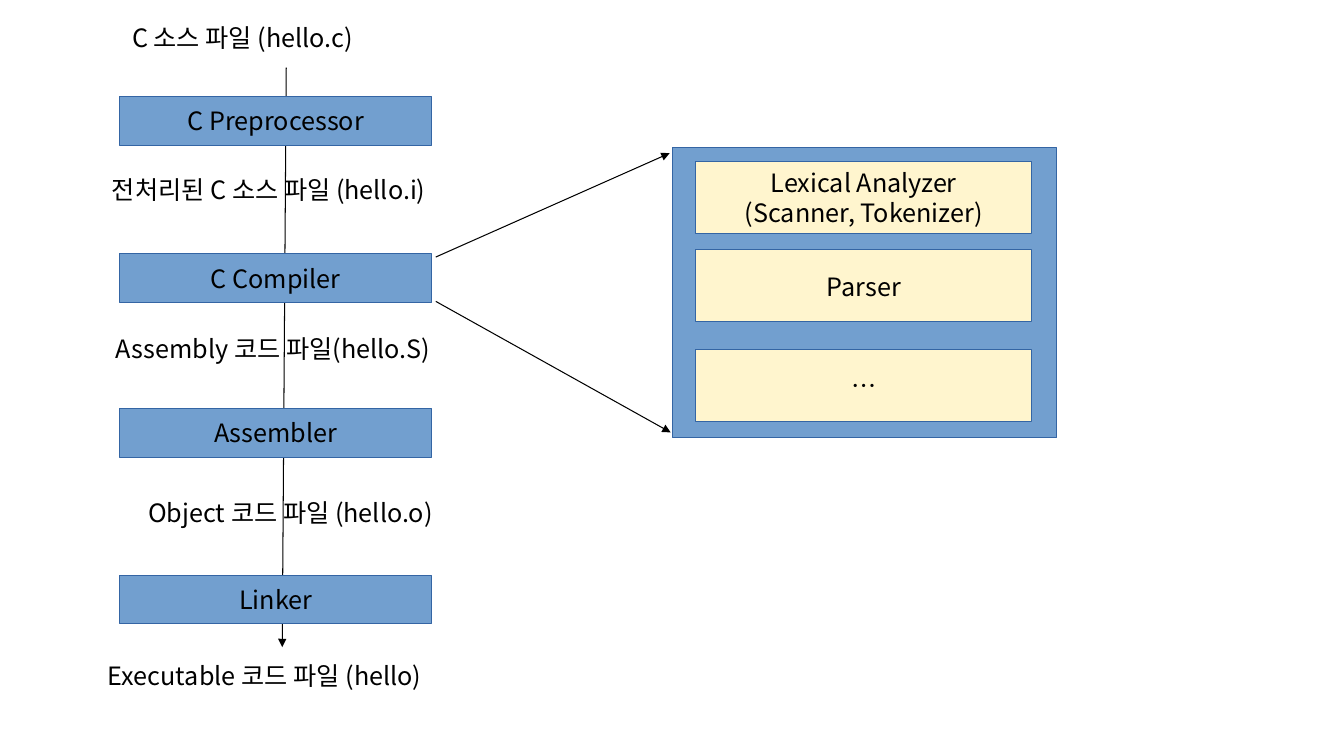
import pptx
import pptx.dml.color
import pptx.enum.shapes
import pptx.enum.text
import pptx.oxml
import pptx.oxml.ns
import pptx.util

SLIDE_WIDTH, SLIDE_HEIGHT = pptx.util.Inches(13.33), pptx.util.Inches(7.5)
COLUMNS, ROWS = 40, 30
FONT = "Noto Sans CJK KR"
COLORS = {"stage": "729FCF", "phase": "FFF5CE", "border": "3465A4", "ink": "000000"}

STAGE_LEFT, STAGE_WIDTH, STAGE_HEIGHT = 3.57, 9.27, 1.94
STAGES = [("C Preprocessor", 3.82), ("C Compiler", 10.08), ("Assembler", 16.2), ("Linker", 22.82)]
FILES = [
    ("C 소스 파일 (hello.c)", 3.57, 0.64),
    ("전처리된 C 소스 파일 (hello.i)", 2.97, 6.68),
    ("Assembly 코드 파일(hello.S)", 3.09, 13),
    ("Object 코드 파일 (hello.o)", 4.05, 19.48),
    ("Executable 코드 파일 (hello)", 2.85, 25.96),
]
FILE_WIDTH, FILE_HEIGHT = 12.6, 2.24
COMPILER_DETAIL = (20.02, 5.86, 11.43, 11.52)
PHASE_LEFT, PHASE_WIDTH, PHASE_HEIGHT = 20.71, 10, 2.86
PHASES = [("Lexical Analyzer\n(Scanner, Tokenizer)", 6.42), ("Parser", 9.92), ("…", 13.88)]
ARROWS = [
    ((8.52, 2.68), (8.4, 25.68)),
    ((12.97, 10.2), (19.93, 6.08)),
    ((12.97, 11.96), (19.96, 17.16)),
]


def across(columns):
    return round(SLIDE_WIDTH * columns / COLUMNS)


def down(rows):
    return round(SLIDE_HEIGHT * rows / ROWS)


def color(name):
    return pptx.dml.color.RGBColor.from_string(COLORS[name])


def write(frame, text, alignment):
    frame.word_wrap = True
    frame.margin_left = frame.margin_right = pptx.util.Inches(0.12)
    frame.margin_top = frame.margin_bottom = pptx.util.Inches(0.06)
    frame.text = text
    for paragraph in frame.paragraphs:
        paragraph.alignment = alignment
        for run in paragraph.runs:
            run.font.size = pptx.util.Pt(18)
            run.font.name = FONT
            run.font.color.rgb = color("ink")
            east_asian = pptx.oxml.parse_xml(
                f'<a:ea {pptx.oxml.ns.nsdecls("a")} typeface="{FONT}"/>')
            run.font._element.find(pptx.oxml.ns.qn("a:latin")).addnext(east_asian)


def add_box(slide, left, top, width, height, fill, text=""):
    box = slide.shapes.add_shape(
        pptx.enum.shapes.MSO_SHAPE.RECTANGLE,
        across(left), down(top), across(width), down(height))
    box.shadow.inherit = False
    box.fill.solid()
    box.fill.fore_color.rgb = color(fill)
    box.line.color.rgb = color("border")
    box.line.width = pptx.util.Pt(0.75)
    if text:
        write(box.text_frame, text, pptx.enum.text.PP_ALIGN.CENTER)
        box.text_frame.vertical_anchor = pptx.enum.text.MSO_ANCHOR.MIDDLE


def add_file_label(slide, text, left, top):
    label = slide.shapes.add_textbox(
        across(left), down(top), across(FILE_WIDTH), down(FILE_HEIGHT))
    write(label.text_frame, text, pptx.enum.text.PP_ALIGN.LEFT)


def add_arrow(slide, start, end):
    arrow = slide.shapes.add_connector(
        pptx.enum.shapes.MSO_CONNECTOR.STRAIGHT,
        across(start[0]), down(start[1]), across(end[0]), down(end[1]))
    arrow.line.color.rgb = color("ink")
    arrow.line.width = pptx.util.Pt(0.75)
    namespace = pptx.oxml.ns.nsdecls("a")
    arrow.line._get_or_add_ln().append(
        pptx.oxml.parse_xml(f'<a:tailEnd {namespace} type="triangle"/>'))
    arrow._element.spPr.append(pptx.oxml.parse_xml(f"<a:effectLst {namespace}/>"))


def main():
    """Build the slide showing how a C source file becomes an executable."""
    deck = pptx.Presentation()
    deck.slide_width, deck.slide_height = SLIDE_WIDTH, SLIDE_HEIGHT
    slide = deck.slides.add_slide(deck.slide_layouts[6])

    for start, end in ARROWS:
        add_arrow(slide, start, end)
    for stage, top in STAGES:
        add_box(slide, STAGE_LEFT, top, STAGE_WIDTH, STAGE_HEIGHT, "stage", stage)
    for file_label in FILES:
        add_file_label(slide, *file_label)
    add_box(slide, *COMPILER_DETAIL, "stage")
    for phase, top in PHASES:
        add_box(slide, PHASE_LEFT, top, PHASE_WIDTH, PHASE_HEIGHT, "phase", phase)

    deck.save("out.pptx")


if __name__ == "__main__":
    main()
